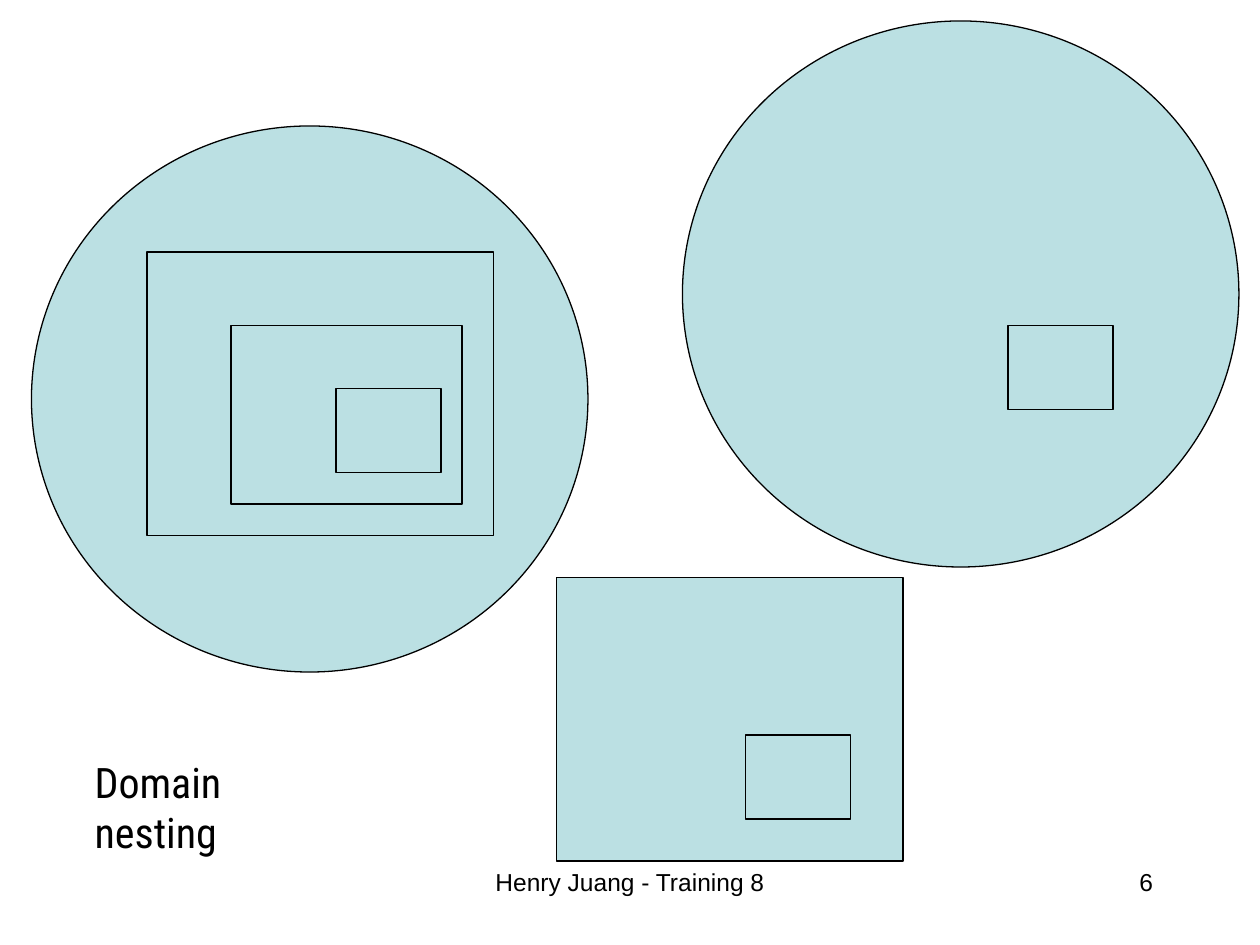
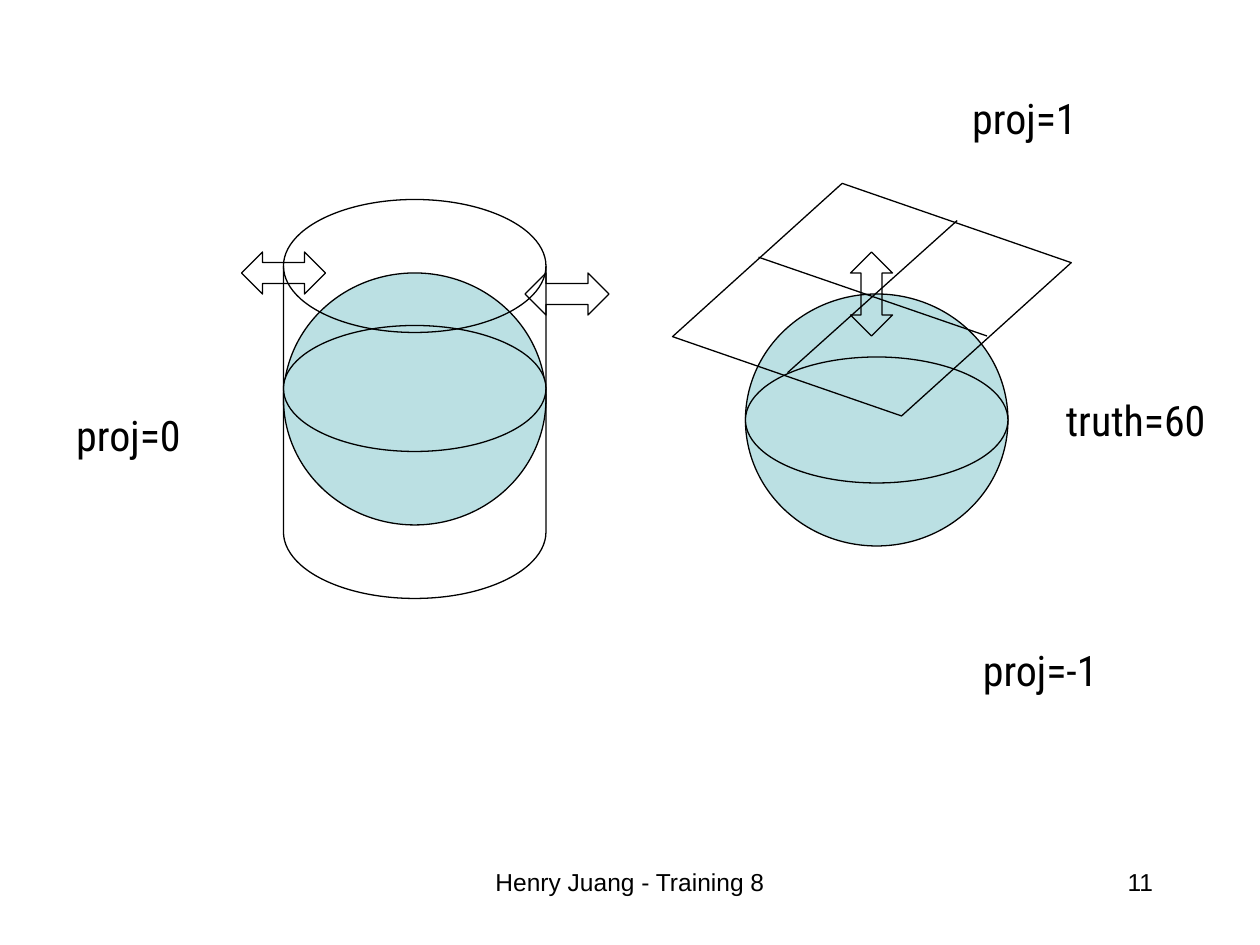
from lxml import etree
from pptx import Presentation
from pptx.dml.color import RGBColor
from pptx.enum.shapes import MSO_CONNECTOR, MSO_SHAPE
from pptx.enum.text import MSO_ANCHOR, PP_ALIGN
from pptx.oxml.ns import qn
from pptx.util import Pt

BLACK = RGBColor(0x00, 0x00, 0x00)
WHITE = RGBColor(0xFF, 0xFF, 0xFF)
PALE_TEAL = RGBColor(0xBB, 0xE0, 0xE3)

ELLIPSE, RECT = MSO_SHAPE.OVAL, MSO_SHAPE.RECTANGLE
CYLINDER = MSO_SHAPE.FLOWCHART_MAGNETIC_DISK
PLANE = MSO_SHAPE.PARALLELOGRAM
ARROW = MSO_SHAPE.LEFT_RIGHT_ARROW
STRAIGHT = MSO_CONNECTOR.STRAIGHT
LEFT, CENTER, RIGHT = PP_ALIGN.LEFT, PP_ALIGN.CENTER, PP_ALIGN.RIGHT
TOP = MSO_ANCHOR.TOP

# Sizes that recur, in points
GLOBE = (318, 312)
OUTER_DOMAIN = (198, 162)
MIDDLE_DOMAIN = (132, 102)
INNER_DOMAIN = (60, 48)
EARTH = (150, 144)
EQUATOR = (150, 72)
ARROW_SIZE = (48, 24)


def write(tf, text, size=24, font="Roboto Condensed", color=BLACK, align=LEFT):
    p = tf.paragraphs[0]
    p.alignment = align
    r = p.add_run()
    r.text = text
    r.font.size = Pt(size)
    r.font.name = font
    r.font.color.rgb = color


class Deck:
    """Holds the shared style and the slide being drawn."""

    line_width = 0.75
    footer = "Henry Juang - Training 8"

    def __init__(self):
        self.prs = Presentation()
        self.prs.slide_width, self.prs.slide_height = Pt(720), Pt(540)
        self.s = None

    def new_slide(self, number):
        self.s = self.prs.slides.add_slide(self.prs.slide_layouts[6])
        fill = self.s.background.fill
        fill.solid()
        fill.fore_color.rgb = WHITE
        self.text(self.footer, 246, 492, 228, size=14, font="Arial", align=CENTER)
        self.text(str(number), 516, 492, 150, size=14, font="Arial", align=RIGHT)

    def text(self, text, x, y, width, right_inset=7.2, **style):
        sp = self.s.shapes.add_textbox(Pt(x), Pt(y), Pt(width), Pt(36))
        tf = sp.text_frame
        tf.word_wrap = True
        tf.vertical_anchor = TOP
        tf.margin_right = Pt(right_inset)
        write(tf, text, **style)

    def outline(self, line):
        line.color.rgb = BLACK
        line.width = Pt(self.line_width)

    def shape(self, kind, x, y, size, fill=None, rotation=0):
        sp = self.s.shapes.add_shape(kind, Pt(x), Pt(y), *map(Pt, size))
        sp.shadow.inherit = False
        sp.rotation = rotation
        if fill is None:
            sp.fill.background()
        else:
            sp.fill.solid()
            sp.fill.fore_color.rgb = fill
        self.outline(sp.line)
        return sp

    def line(self, *ends):
        cxn = self.s.shapes.add_connector(STRAIGHT, *map(Pt, ends))
        self.outline(cxn.line)
        etree.SubElement(cxn._element.spPr, qn("a:effectLst"))

    def earth(self, x, y, equator_y):
        self.shape(ELLIPSE, x, y, EARTH, PALE_TEAL)
        self.shape(ELLIPSE, x, equator_y, EQUATOR, PALE_TEAL)


def domain_nesting(deck):
    deck.new_slide(6)
    for kind, x, y, size in (
        # Globe with three nested domains
        (ELLIPSE, 18, 72, GLOBE),
        (RECT, 84, 144, OUTER_DOMAIN),
        (RECT, 132, 186, MIDDLE_DOMAIN),
        (RECT, 192, 222, INNER_DOMAIN),
        # Regional domain with one nest
        (RECT, 318, 330, OUTER_DOMAIN),
        (RECT, 426, 420, INNER_DOMAIN),
        # Globe with one nest
        (ELLIPSE, 390, 12, GLOBE),
        (RECT, 576, 186, INNER_DOMAIN),
    ):
        deck.shape(kind, x, y, size, PALE_TEAL)
    deck.text("Domain nesting", 47, 428.5, 162, right_inset=40)


def map_projections(deck):
    deck.new_slide(11)

    # Cylinder around the earth
    deck.earth(162, 156, equator_y=186)
    deck.shape(CYLINDER, 162, 114, (150, 228))

    # Plane cutting the earth, with its two axes
    deck.earth(426, 168, equator_y=204)
    plane = deck.shape(PLANE, 397.5, 114, (201.5, 114.5), rotation=19.1)
    plane.adjustments[0] = 0.55
    deck.line(433.5, 147, 564, 192)
    deck.line(547, 126, 450, 213)

    # Labels
    for text, x, y, width in (
        ("proj=1", 548.5, 49.5, 81),
        ("proj=-1", 554.5, 364.5, 90),
        ("truth=60", 602, 222, 102),
        ("proj=0", 36.5, 230.5, 81),
    ):
        deck.text(text, x, y, width)

    # Arrows showing how each surface can move
    for x, y, rotation in ((138, 144, 0), (474, 156, 90), (300, 156, 0)):
        deck.shape(ARROW, x, y, ARROW_SIZE, rotation=rotation)


def main():
    deck = Deck()
    domain_nesting(deck)
    map_projections(deck)
    deck.prs.save("out.pptx")


if __name__ == "__main__":
    main()
